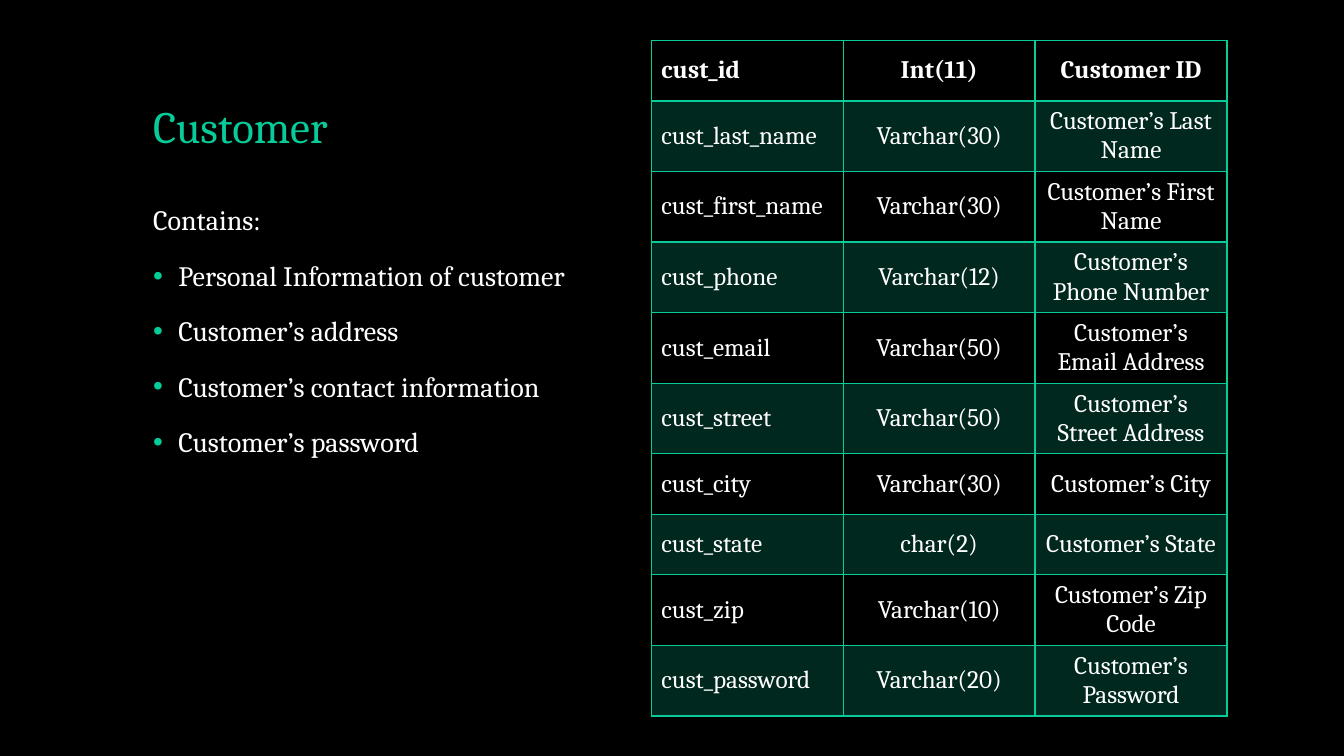
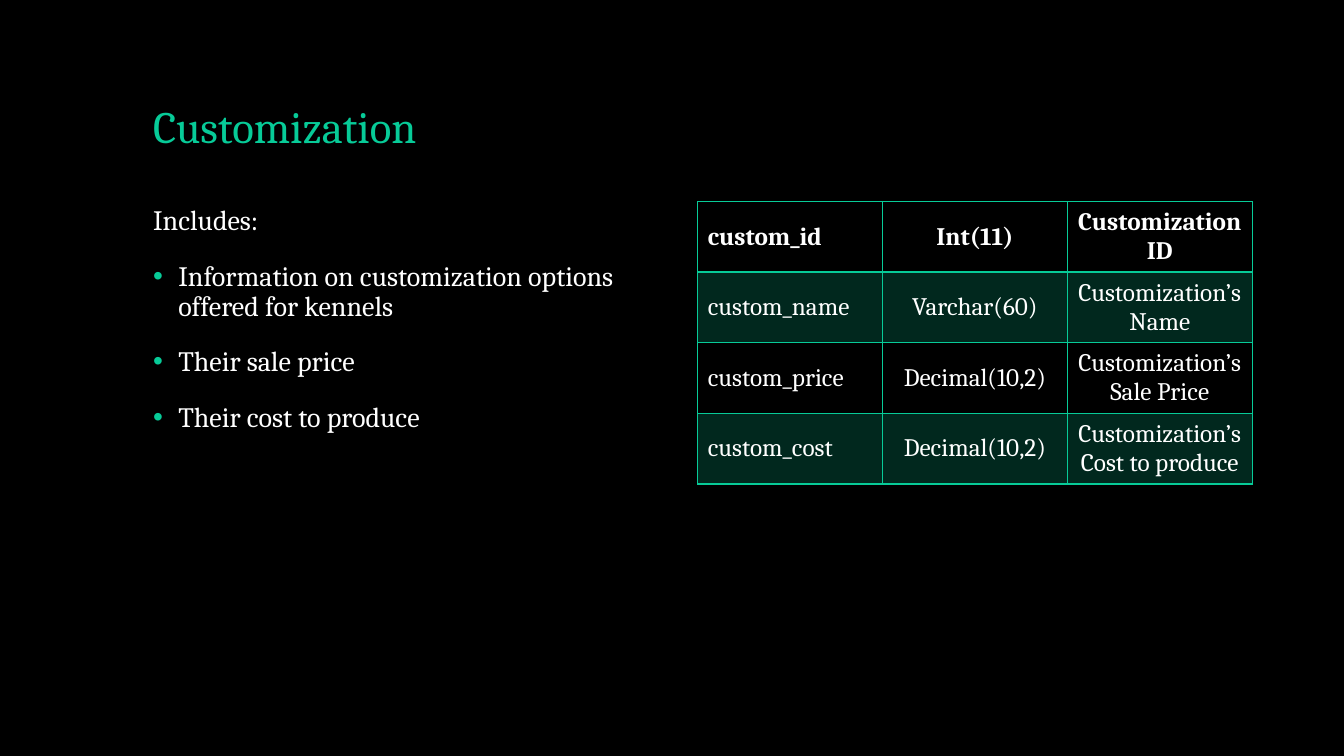
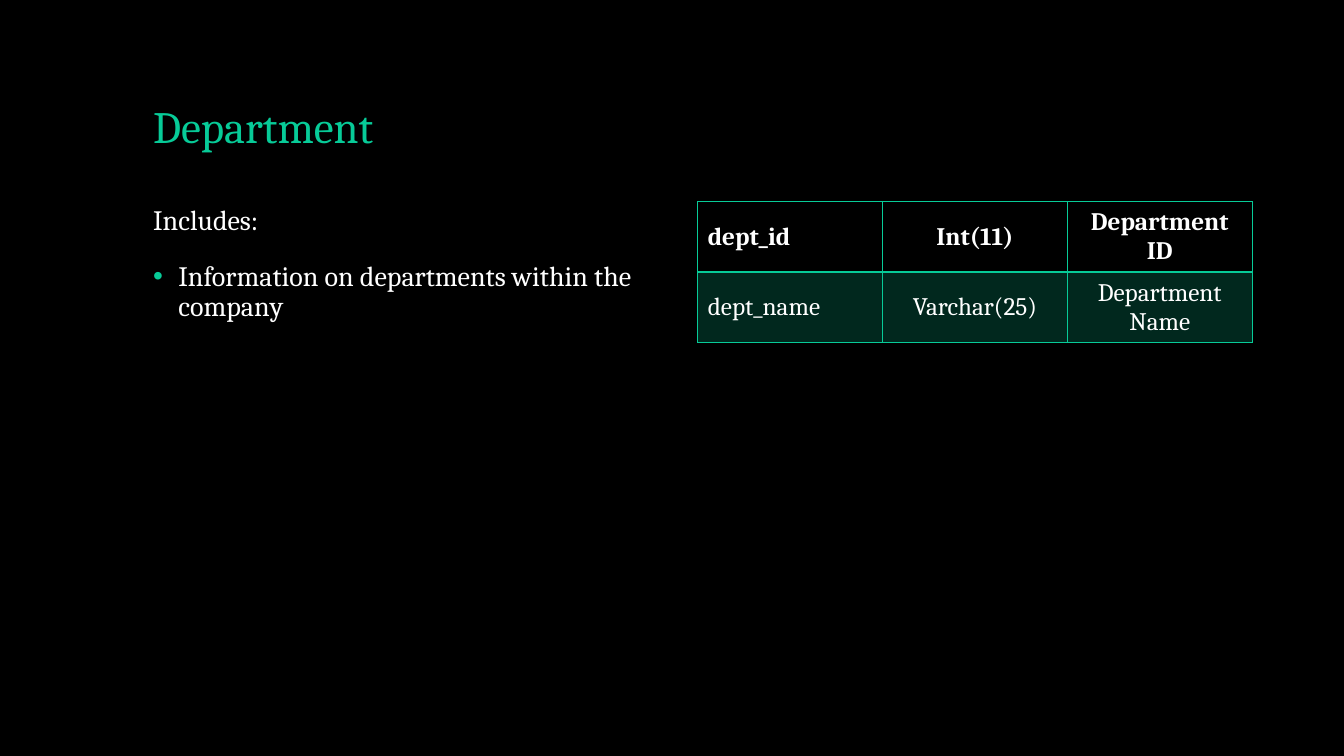
from dataclasses import dataclass

from lxml.etree import SubElement
from pptx import Presentation
from pptx.dml.color import RGBColor
from pptx.enum.text import MSO_ANCHOR, PP_ALIGN
from pptx.oxml import parse_xml
from pptx.oxml.ns import nsdecls, qn
from pptx.util import Inches, Pt


@dataclass(frozen=True)
class Theme:
    background: str = "000000"
    accent: str = "07CB98"
    text: str = "FFFFFF"
    font: str = "Cambria"
    title_size: int = 32
    body_size: int = 20
    table_size: int = 18
    band_alpha: int = 20
    rule: int = 1
    header_rule: int = 2


class Deck:
    def __init__(self, theme):
        self.theme = theme
        self.presentation = Presentation()
        self.presentation.slide_width = Inches(13.33)
        self.presentation.slide_height = Inches(7.5)
        backdrop = self.presentation.slide_master.background.fill
        backdrop.solid()
        backdrop.fore_color.rgb = RGBColor.from_string(theme.background)
        self.slide = None

    def add_slide(self):
        blank = self.presentation.slide_layouts[6]
        self.slide = self.presentation.slides.add_slide(blank)

    def style(self, paragraph, size, color, bold=False):
        for run in paragraph.runs:
            run.font.name = self.theme.font
            run.font.size = Pt(size)
            run.font.bold = bold
            run.font.color.rgb = RGBColor.from_string(color)

    def text_frame(self, left, top, width, height, anchor):
        box = self.slide.shapes.add_textbox(
            Inches(left), Inches(top), Inches(width), Inches(height))
        frame = box.text_frame
        frame.word_wrap = True
        frame.vertical_anchor = anchor
        return frame

    def title(self, wording):
        frame = self.text_frame(1.42, 0.4, 10.5, 1.17, MSO_ANCHOR.BOTTOM)
        frame.text = wording
        heading = frame.paragraphs[0]
        heading.line_spacing = 0.9
        self.style(heading, self.theme.title_size, self.theme.accent)

    def bullet(self, paragraph):
        properties = paragraph._p.get_or_add_pPr()
        properties.set("marL", str(Inches(0.25)))
        properties.set("indent", str(Inches(-0.25)))
        color = SubElement(properties, qn("a:buClr"))
        SubElement(color, qn("a:srgbClr"), val=self.theme.accent)
        SubElement(properties, qn("a:buFont"), typeface="Arial")
        SubElement(properties, qn("a:buChar"), char="•")

    def body(self, lead, points):
        frame = self.text_frame(1.42, 2, 5, 4.76, MSO_ANCHOR.TOP)
        frame.text = "\n".join([lead, *points])
        for position, paragraph in enumerate(frame.paragraphs):
            if position:
                self.bullet(paragraph)
                paragraph.space_before = Pt(18)
            paragraph.line_spacing = 0.9
            self.style(paragraph, self.theme.body_size, self.theme.text)

    def borders(self, cell, top, bottom):
        rule = self.theme.rule
        widths = {"lnL": rule, "lnR": rule, "lnT": top, "lnB": bottom}
        properties = cell._tc.get_or_add_tcPr()
        for position, (side, width) in enumerate(widths.items()):
            properties.insert(position, parse_xml(
                f'<a:{side} {nsdecls("a")} w="{Pt(width)}"><a:solidFill>'
                f'<a:srgbClr val="{self.theme.accent}"/>'
                f'</a:solidFill></a:{side}>'))

    def band(self, cell):
        cell.fill.solid()
        cell.fill.fore_color.rgb = RGBColor.from_string(self.theme.accent)
        for color in cell._tc.get_or_add_tcPr().iter(qn("a:srgbClr")):
            SubElement(color, qn("a:alpha"),
                       val=str(self.theme.band_alpha * 1000))

    def fields(self, rows, left, top, width):
        table = self.slide.shapes.add_table(
            len(rows), len(rows[0]), Inches(left), Inches(top),
            Inches(width), Inches(0.6 * len(rows))).table
        table.first_row = table.horz_banding = False
        theme = self.theme
        for row, entries in enumerate(rows):
            for column, wording in enumerate(entries):
                cell = table.cell(row, column)
                cell.text = wording
                cell.vertical_anchor = MSO_ANCHOR.MIDDLE
                paragraph = cell.text_frame.paragraphs[0]
                paragraph.alignment = PP_ALIGN.CENTER if column else PP_ALIGN.LEFT
                self.style(paragraph, theme.table_size, theme.text, bold=row == 0)
                if row % 2:
                    self.band(cell)
                else:
                    cell.fill.background()
                self.borders(
                    cell,
                    top=theme.header_rule if row == 1 else theme.rule,
                    bottom=theme.header_rule if row == 0 else theme.rule)


ENTITIES = [
    {
        "title": "Customer",
        "lead": "Contains:",
        "points": [
            "Personal Information of customer",
            "Customer’s address",
            "Customer’s contact information",
            "Customer’s password",
        ],
        "place": (6.46, 0.4, 5.71),
        "fields": [
            ("cust_id", "Int(11)", "Customer ID"),
            ("cust_last_name", "Varchar(30)", "Customer’s Last Name"),
            ("cust_first_name", "Varchar(30)", "Customer’s First Name"),
            ("cust_phone", "Varchar(12)", "Customer’s Phone Number"),
            ("cust_email", "Varchar(50)", "Customer’s Email Address"),
            ("cust_street", "Varchar(50)", "Customer’s Street Address"),
            ("cust_city", "Varchar(30)", "Customer’s City"),
            ("cust_state", "char(2)", "Customer’s State"),
            ("cust_zip", "Varchar(10)", "Customer’s Zip Code"),
            ("cust_password", "Varchar(20)", "Customer’s Password"),
        ],
    },
    {
        "title": "Customization",
        "lead": "Includes:",
        "points": [
            "Information on customization options offered for kennels",
            "Their sale price",
            "Their cost to produce",
        ],
        "place": (6.92, 2, 5.5),
        "fields": [
            ("custom_id", "Int(11)", "Customization ID"),
            ("custom_name", "Varchar(60)", "Customization’s Name"),
            ("custom_price", "Decimal(10,2)", "Customization’s Sale Price"),
            ("custom_cost", "Decimal(10,2)", "Customization’s Cost to produce"),
        ],
    },
    {
        "title": "Department",
        "lead": "Includes:",
        "points": ["Information on departments within the company"],
        "place": (6.92, 2, 5.5),
        "fields": [
            ("dept_id", "Int(11)", "Department ID"),
            ("dept_name", "Varchar(25)", "Department Name"),
        ],
    },
]


def main():
    deck = Deck(Theme())
    for entity in ENTITIES:
        deck.add_slide()
        deck.title(entity["title"])
        deck.body(entity["lead"], entity["points"])
        deck.fields(entity["fields"], *entity["place"])
    deck.presentation.save("out.pptx")


if __name__ == "__main__":
    main()
